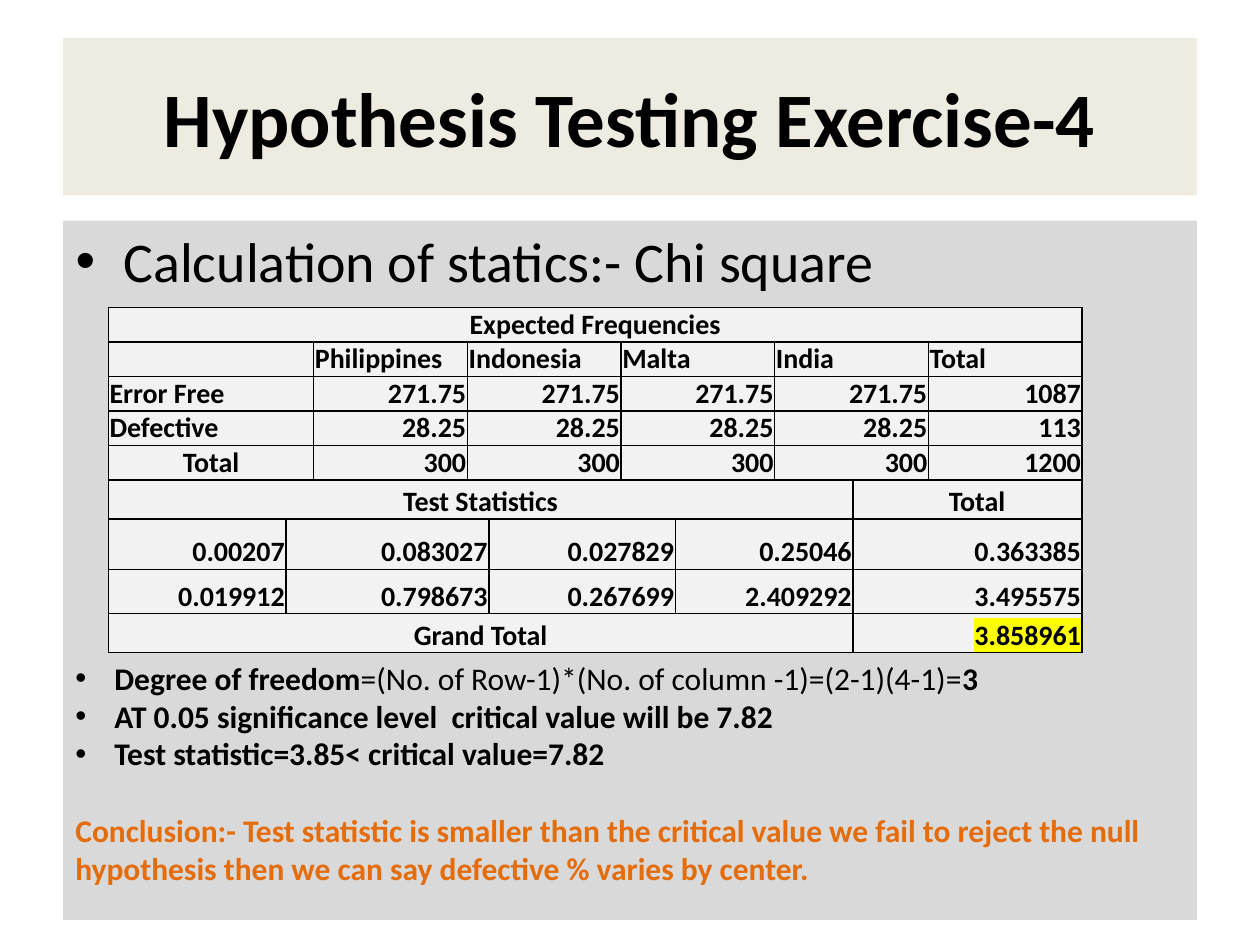
"""Builds the chi-square hypothesis testing slide."""
from dataclasses import dataclass

from lxml import etree
from pptx import Presentation
from pptx.dml.color import RGBColor
from pptx.enum.text import MSO_ANCHOR, PP_ALIGN
from pptx.oxml.ns import qn
from pptx.util import Emu, Inches, Pt

LEFT, CENTER, RIGHT = PP_ALIGN.LEFT, PP_ALIGN.CENTER, PP_ALIGN.RIGHT
MIDDLE, TOP, BOTTOM = MSO_ANCHOR.MIDDLE, MSO_ANCHOR.TOP, MSO_ANCHOR.BOTTOM
WIDTH, HEIGHT = Inches(10), Inches(7.5)
GRID_COLS, GRID_ROWS = 200, 150
COLORS = {"ink": "000000", "title": "EEECE1", "panel": "D9D9D9", "cell": "F2F2F2",
          "mark": "FFFF00", "conclusion": "E46C0A"}
CELL_FORMAT = {"vertical_anchor": BOTTOM, "margin_left": Inches(0.01),
               "margin_right": Inches(0.01), "margin_top": 0, "margin_bottom": 0}


@dataclass
class Box:
    """Holds a place in grid columns and rows."""
    col: float
    row: float
    cols: float
    rows: float

    def emu(self) -> tuple:
        """Returns left, top, width and height as lengths."""
        return gx(self.col), gy(self.row), gx(self.cols), gy(self.rows)


@dataclass
class Grid:
    """Describes a table; None in a row joins the cell to its left."""
    col: float
    row: float
    widths: list
    heights: list
    rows: list
    centered: tuple
    left: tuple = ()
    marked: str = ""


@dataclass
class Line:
    """Describes a paragraph as (text, bold) runs."""
    runs: list
    color: str = "ink"
    bullet: bool = True
    before: int = 0


def gx(cols: float) -> Emu:
    """Converts grid columns to a length."""
    return Emu(round(WIDTH * cols / GRID_COLS))


def gy(rows: float) -> Emu:
    """Converts grid rows to a length."""
    return Emu(round(HEIGHT * rows / GRID_ROWS))


def rgb(name: str) -> RGBColor:
    """Looks up a named colour."""
    return RGBColor.from_string(COLORS[name])


def apply(target, values: dict) -> None:
    """Sets attributes from format values."""
    for key, value in values.items():
        setattr(target, key, value)


def fill(target, color: str) -> None:
    """Gives a shape or cell a solid fill."""
    target.fill.solid()
    target.fill.fore_color.rgb = rgb(color)


def add_run(p, text: str, size: int, bold: bool, color: str = "ink"):
    """Adds a formatted run."""
    r = p.add_run()
    r.text = text
    apply(r.font, {"name": "Calibri", "size": Pt(size), "bold": bold})
    r.font.color.rgb = rgb(color)
    return r


def add_bullet(p, indent: float) -> None:
    """Gives a paragraph a hanging round bullet."""
    pPr = p._p.get_or_add_pPr()
    pPr.set("marL", str(Inches(indent)))
    pPr.set("indent", str(-Inches(indent)))
    etree.SubElement(pPr, qn("a:buFont"), typeface="Arial")
    etree.SubElement(pPr, qn("a:buChar"), char="•")


def highlight(r) -> None:
    """Marks a run with the highlight colour."""
    mark = etree.Element(qn("a:highlight"))
    etree.SubElement(mark, qn("a:srgbClr"), val=COLORS["mark"])
    r._r.rPr.find(qn("a:solidFill")).addnext(mark)


def add_borders(cell) -> None:
    """Draws a thin line on each side of a cell."""
    tcPr = cell._tc.get_or_add_tcPr()
    for i, side in enumerate("LRTB"):
        ln = etree.Element(qn(f"a:ln{side}"), w=str(Pt(1)))
        solid = etree.SubElement(ln, qn("a:solidFill"))
        etree.SubElement(solid, qn("a:srgbClr"), val=COLORS["ink"])
        tcPr.insert(i, ln)


def add_grid(s, grid: Grid) -> None:
    """Draws a bordered table."""
    box = Box(grid.col, grid.row, sum(grid.widths), sum(grid.heights))
    table = s.shapes.add_table(len(grid.heights), len(grid.widths), *box.emu()).table
    apply(table, {"first_row": False, "horz_banding": False})
    for column, width in zip(table.columns, grid.widths):
        column.width = gx(width)
    for row, height in zip(table.rows, grid.heights):
        row.height = gy(height)
    for i, texts in enumerate(grid.rows):
        for j, text in enumerate(texts):
            cell = table.cell(i, j)
            apply(cell, CELL_FORMAT)
            fill(cell, "cell")
            add_borders(cell)
            p = cell.text_frame.paragraphs[0]
            p.alignment = CENTER if (i, j) in grid.centered else LEFT if text in grid.left else RIGHT
            if text:
                r = add_run(p, text, 16, True)
                if text == grid.marked:
                    highlight(r)
            else:
                p._p.get_or_add_endParaRPr().set("sz", "1600")
        if None in texts:
            first = texts.index(None) - 1
            table.cell(i, first).merge(table.cell(i, first + texts.count(None)))
    if grid.marked:
        table.cell(0, len(grid.widths) - 1).margin_left = Inches(0.16)


def fill_placeholder(sp, box: Box, color: str, text: str, size: int, bold: bool, anchor):
    """Moves, fills and writes a template placeholder."""
    apply(sp, dict(zip(("left", "top", "width", "height"), box.emu())))
    fill(sp, color)
    sp.text_frame.vertical_anchor = anchor
    p = sp.text_frame.paragraphs[0]
    add_run(p, text, size, bold)
    return p


def add_lines(s, box: Box, lines: list) -> None:
    """Draws the text box of findings."""
    tf = s.shapes.add_textbox(*box.emu()).text_frame
    tf.word_wrap = True
    for i, line in enumerate(lines):
        p = tf.add_paragraph() if i else tf.paragraphs[0]
        p.space_before = Pt(line.before)
        if line.bullet:
            add_bullet(p, 0.31)
        for text, bold in line.runs:
            add_run(p, text, 18, bold, line.color)


HEADS = ["Philippines", "Indonesia", "Malta", "India", "Total"]
EXPECTED = Grid(17.2, 48.8, [32.6] + [24.4] * 5, [5.48] * 5, [
    ["Expected Frequencies"] + [None] * 5,
    [""] + HEADS,
    ["Error Free"] + ["271.75"] * 4 + ["1087"],
    ["Defective"] + ["28.25"] * 4 + ["113"],
    ["Total"] + ["300"] * 4 + ["1200"],
], centered=((0, 0), (4, 0)), left=("Error Free", "Defective", *HEADS))
STATISTICS = Grid(17.2, 76.2, [28.2, 32.2, 29.6, 28.2, 36.4], [6.2, 8, 7, 6.2], [
    ["Test Statistics", None, None, None, "Total"],
    ["0.00207", "0.083027", "0.027829", "0.25046", "0.363385"],
    ["0.019912", "0.798673", "0.267699", "2.409292", "3.495575"],
    ["Grand Total", None, None, None, "3.858961"],
], centered=((0, 0), (0, 4), (3, 0)), marked="3.858961")
FINDINGS = [
    Line([("Degree of freedom", True),
          ("=(No. of Row-1)*(No. of column -1)=(2-1)(4-1)=", False), ("3", True)]),
    Line([("AT 0.05 significance level  critical value will be 7.82", True)]),
    Line([("Test statistic=3.85< critical value=7.82", True)]),
    Line([("Conclusion:- Test statistic is smaller than the critical value we fail to reject "
           "the null hypothesis then we can say defective % varies by center.", True)],
         color="conclusion", bullet=False, before=22),
]


def main() -> None:
    """Builds and saves the slide."""
    prs = Presentation()
    apply(prs, {"slide_width": WIDTH, "slide_height": HEIGHT})
    s = prs.slides.add_slide(prs.slide_layouts[1])
    title, body = s.placeholders
    p = fill_placeholder(title, Box(10, 6, 180, 25), "title",
                         "Hypothesis Testing Exercise-4", 44, True, MIDDLE)
    p.alignment = CENTER
    p = fill_placeholder(body, Box(10, 35, 180, 111), "panel",
                         "Calculation of statics:- Chi square", 32, False, TOP)
    add_bullet(p, 0.38)
    for grid in (EXPECTED, STATISTICS):
        add_grid(s, grid)
    add_lines(s, Box(10, 103.6, 177.2, 44.4), FINDINGS)
    prs.save("out.pptx")


if __name__ == "__main__":
    main()
